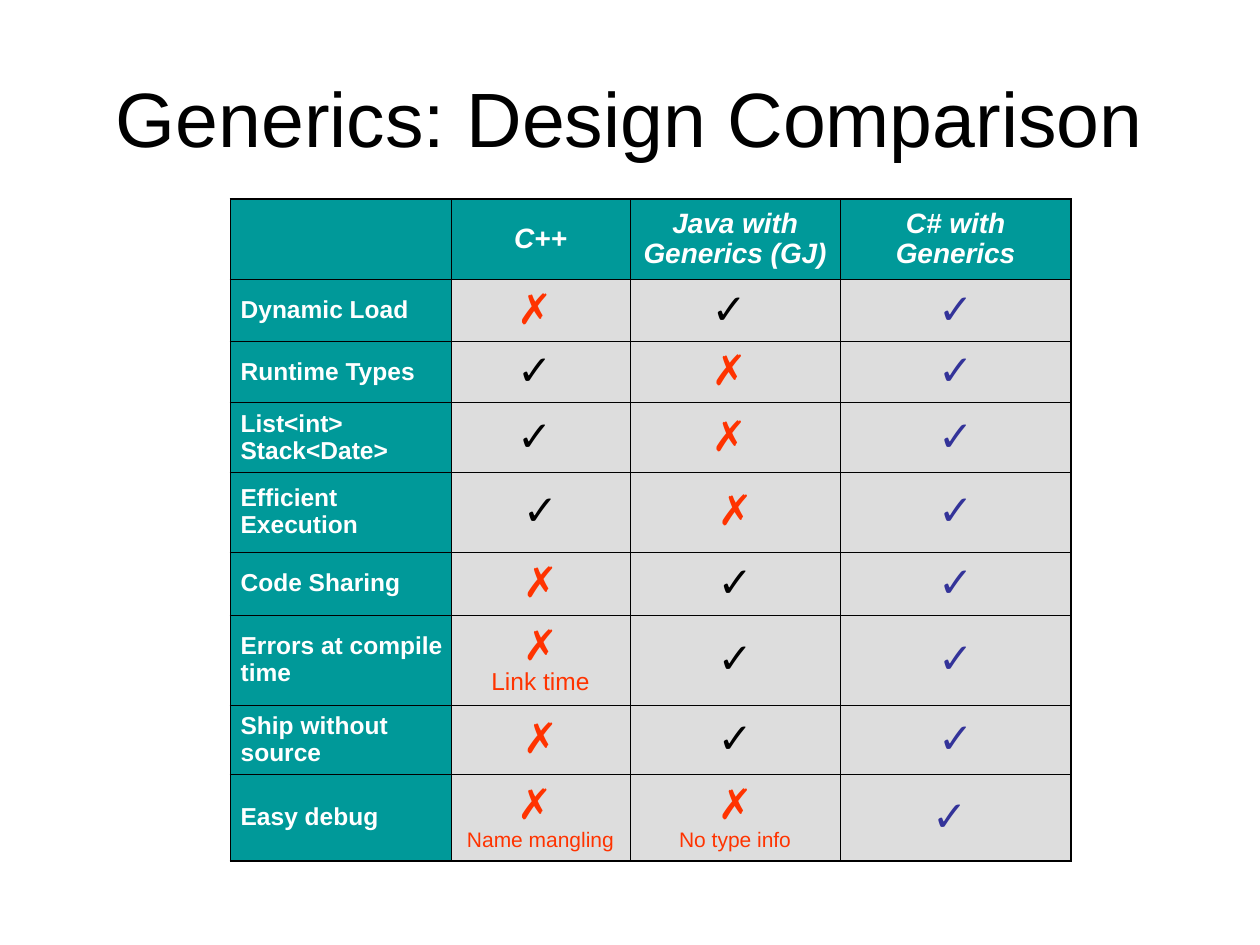
"""Build the slide that compares generics across three languages."""
from dataclasses import dataclass

from lxml.etree import SubElement
from pptx import Presentation
from pptx.dml.color import RGBColor
from pptx.enum.text import MSO_ANCHOR, PP_ALIGN
from pptx.oxml.ns import qn
from pptx.slide import Slide
from pptx.table import Table, _Cell
from pptx.text.text import _Paragraph
from pptx.util import Pt

BLACK = RGBColor(0x00, 0x00, 0x00)
WHITE = RGBColor(0xFF, 0xFF, 0xFF)
TEAL = RGBColor(0x00, 0x99, 0x99)
GRAY = RGBColor(0xDD, 0xDD, 0xDD)
RED = RGBColor(0xFF, 0x33, 0x00)
BLUE = RGBColor(0x33, 0x33, 0x99)

FONT = "Arial"
OUTER_LINE = Pt(1.08)
INNER_LINE = Pt(0.45)
COLUMN_WIDTHS = (126, 102.24, 120.24, 131.76)


@dataclass(frozen=True)
class Verdict:
    """A tick or cross with an optional remark below it."""

    mark: str
    color: RGBColor
    remark: str = ""
    remark_size: float = 14


@dataclass(frozen=True)
class Feature:
    """A table row: its height, label and one verdict per language."""

    height: float
    label: str
    verdicts: tuple[Verdict, ...]


YES = Verdict("✓", BLACK)
NO = Verdict("✗", RED)
YES_SPACED = Verdict("✓ ", BLACK)
NO_SPACED = Verdict("✗ ", RED)
BEST = Verdict("✓", BLUE)

HEADER_HEIGHT = 46.08
HEADINGS = ("", "C++", "Java with Generics (GJ)", "C# with\vGenerics")
FEATURES = (
    Feature(31.68, "Dynamic Load", (NO_SPACED, YES_SPACED, BEST)),
    Feature(31.68, "Runtime Types", (YES_SPACED, NO_SPACED, BEST)),
    Feature(36.72, "List<int>\vStack<Date>", (YES_SPACED, NO_SPACED, BEST)),
    Feature(45.36, "Efficient Execution", (YES, NO, BEST)),
    Feature(36, "Code Sharing", (NO, YES, BEST)),
    Feature(48.96, "Errors at compile time", (Verdict("✗", RED, "Link time"), YES, BEST)),
    Feature(36.72, "Ship without source", (NO, YES, BEST)),
    Feature(47.52, "Easy debug", (
        Verdict("✗ ", RED, "Name mangling", 12),
        Verdict("✗", RED, "No type info", 12),
        Verdict("✓ ", BLUE),
    )),
)


def style_paragraph(para: _Paragraph, size: float, color: RGBColor,
                    bold: bool = False, italic: bool = False) -> None:
    """Set the font of a whole paragraph."""
    font = para.font
    font.name, font.size = FONT, Pt(size)
    font.bold, font.italic = bold, italic
    font.color.rgb = color


def add_title(page: Slide, text: str) -> None:
    """Add the centred title."""
    box = page.shapes.add_textbox(Pt(36), Pt(21.6), Pt(648), Pt(90))
    frame = box.text_frame
    frame.word_wrap = True
    frame.vertical_anchor = MSO_ANCHOR.MIDDLE
    para = frame.paragraphs[0]
    para.text, para.alignment = text, PP_ALIGN.CENTER
    style_paragraph(para, 44, BLACK)


def draw_borders(cell: _Cell, outer_sides: dict[str, bool]) -> None:
    """Draw the four cell borders, heavier on the table's outer edge."""
    properties = cell._tc.get_or_add_tcPr()
    for side, is_outer in outer_sides.items():
        width = OUTER_LINE if is_outer else INNER_LINE
        line = SubElement(properties, qn(f"a:ln{side}"), w=str(int(width)))
        fill = SubElement(line, qn("a:solidFill"))
        SubElement(fill, qn("a:srgbClr"), val=str(BLACK))


def format_cells(table: Table) -> None:
    """Give every cell its borders, fill, margins and anchor."""
    last_row, last_column = len(table.rows) - 1, len(table.columns) - 1
    for row in range(last_row + 1):
        for column in range(last_column + 1):
            cell = table.cell(row, column)
            draw_borders(cell, {"L": column == 0, "R": column == last_column,
                                "T": row == 0, "B": row == last_row})
            cell.fill.solid()
            cell.fill.fore_color.rgb = TEAL if row == 0 or column == 0 else GRAY
            cell.vertical_anchor = MSO_ANCHOR.MIDDLE
            cell.margin_left = Pt(5.76 if column == 0 else 2.88)
            cell.margin_right = Pt(2.88)
            cell.margin_top = cell.margin_bottom = Pt(3.6)
            para = cell.text_frame.paragraphs[0]
            para.line_spacing = 0.97
            para.alignment = PP_ALIGN.LEFT if column == 0 else PP_ALIGN.CENTER


def write_verdict(para: _Paragraph, verdict: Verdict) -> None:
    """Write the mark and, on a second line, its remark."""
    para.add_run().text = verdict.mark
    style_paragraph(para, 24, verdict.color)
    if verdict.remark:
        para.add_line_break()
        span = para.add_run()
        span.text = verdict.remark
        span.font.size = Pt(verdict.remark_size)


def add_comparison(page: Slide) -> None:
    """Add the comparison table."""
    heights = (HEADER_HEIGHT, *(feature.height for feature in FEATURES))
    table = page.shapes.add_table(
        len(heights), len(COLUMN_WIDTHS), Pt(131.76), Pt(113.76),
        Pt(sum(COLUMN_WIDTHS)), Pt(sum(heights))).table
    table.first_row = table.horz_banding = False
    for column, width in zip(table.columns, COLUMN_WIDTHS):
        column.width = Pt(width)
    for row, height in zip(table.rows, heights):
        row.height = Pt(height)
    format_cells(table)

    for column, heading in enumerate(HEADINGS):
        para = table.cell(0, column).text_frame.paragraphs[0]
        para.text = heading
        style_paragraph(para, 16, WHITE, bold=True, italic=True)
    for row, feature in enumerate(FEATURES, start=1):
        para = table.cell(row, 0).text_frame.paragraphs[0]
        para.text = feature.label
        style_paragraph(para, 14, WHITE, bold=True)
        for column, verdict in enumerate(feature.verdicts, start=1):
            write_verdict(table.cell(row, column).text_frame.paragraphs[0], verdict)


def main() -> None:
    """Create the deck and save it."""
    deck = Presentation()
    deck.slide_width, deck.slide_height = Pt(720), Pt(540)
    page = deck.slides.add_slide(deck.slide_layouts[6])
    add_title(page, "Generics: Design Comparison")
    add_comparison(page)
    deck.save("out.pptx")


if __name__ == "__main__":
    main()
